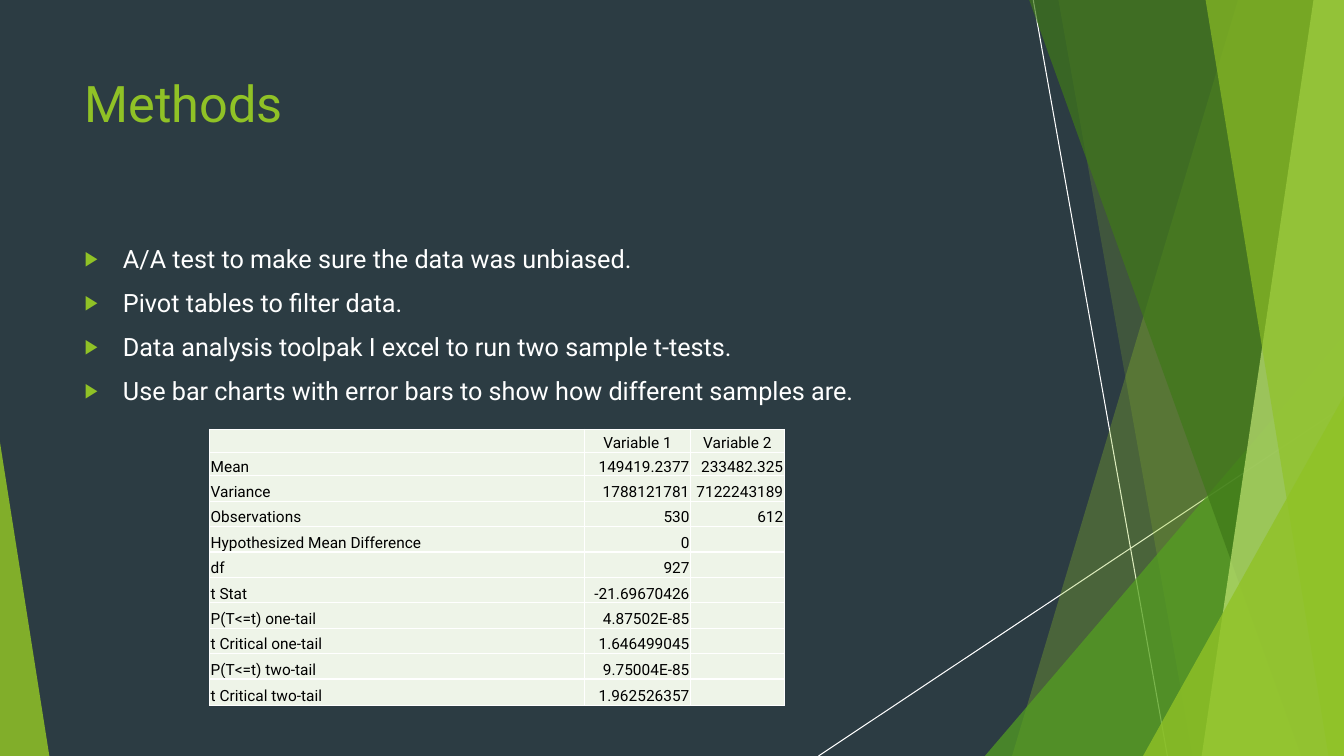
from lxml import etree
from pptx import Presentation
from pptx import util as u
from pptx.dml import color
from pptx.enum import shapes, text
from pptx.oxml import ns

COLORS = {
    "night": "2C3C43", "lime": "90C226", "leaf": "54A021", "forest": "3F7819",
    "pale": "C0E474", "white": "FFFFFF", "black": "000000", "cell": "EEF4E8",
}
ALIGN = text.PP_ALIGN

# Bands reach the right edge: left end at the top, left end at the bottom, colour, opacity
BACK_BANDS = [(92.12, 75.3, "lime", 30), (78.75, 88.74, "lime", 20)]
FRONT_BANDS = [
    (76.58, 96.83, "forest", 70),
    (97.73, 89.41, "pale", 70),
    (89.7, 98.85, "lime", 65),
]
METHODS = [
    "A/A test to make sure the data was unbiased.",
    "Pivot tables to filter data.",
    "Data analysis toolpak I excel to run two sample t-tests.",
    "Use bar charts with error bars to show how different samples are.",
]
T_TEST = [
    ("", "Variable 1", "Variable 2"),
    ("Mean", "149419.2377", "233482.325"),
    ("Variance", "1788121781", "7122243189"),
    ("Observations", "530", "612"),
    ("Hypothesized Mean Difference", "0", ""),
    ("df", "927", ""),
    ("t Stat", "-21.69670426", ""),
    ("P(T<=t) one-tail", "4.87502E-85", ""),
    ("t Critical one-tail", "1.646499045", ""),
    ("P(T<=t) two-tail", "9.75004E-85", ""),
    ("t Critical two-tail", "1.962526357", ""),
]


def rgb(name):
    return color.RGBColor.from_string(COLORS[name])


def add_xml(parent, tag, **attributes):
    return etree.SubElement(parent, ns.qn(tag), **attributes)


class FacetSlide:
    """Draws on one slide; every position is a percentage of its width or height."""

    font = "Roboto"

    def __init__(self, deck):
        self.width, self.height = deck.slide_width, deck.slide_height
        self.slide = deck.slides.add_slide(deck.slide_layouts[1])
        self.shapes = self.slide.shapes
        background = self.slide.background.fill
        background.solid()
        background.fore_color.rgb = rgb("night")

    def x(self, share):
        return round(self.width * share / 100)

    def y(self, share):
        return round(self.height * share / 100)

    def box(self, left, top, width, height):
        return self.x(left), self.y(top), self.x(width), self.y(height)

    def paint(self, shape, fill, opacity):
        shape.shadow.inherit = False
        shape.fill.solid()
        shape.fill.fore_color.rgb = rgb(fill)
        shape.line.fill.background()
        tint = shape.element.spPr.find(".//" + ns.qn("a:srgbClr"))
        add_xml(tint, "a:alpha", val=str(opacity * 1000))

    def ray(self, x1, y1, x2, y2):
        ray = self.shapes.add_connector(
            shapes.MSO_CONNECTOR.STRAIGHT, self.x(x1), self.y(y1), self.x(x2), self.y(y2))
        ray.line.color.rgb = rgb("white")
        ray.line.width = u.Pt(0.75)
        add_xml(ray.element.spPr, "a:effectLst")

    def band(self, top_x, bottom_x, fill, opacity):
        outline = self.shapes.build_freeform(self.x(top_x), 0)
        outline.add_line_segments(
            [(self.width, 0), (self.width, self.height), (self.x(bottom_x), self.height)])
        self.paint(outline.convert_to_shape(), fill, opacity)

    def corner(self, left, top, width, apex, fill, opacity):
        """Add a triangle standing on the slide's bottom edge."""
        triangle = self.shapes.add_shape(
            shapes.MSO_SHAPE.ISOSCELES_TRIANGLE, *self.box(left, top, width, 100 - top))
        triangle.adjustments[0] = apex
        self.paint(triangle, fill, opacity)

    def add_words(self, paragraph, words, size, ink, align=ALIGN.LEFT):
        paragraph.alignment = align
        run = paragraph.add_run()
        run.text = words
        run.font.name, run.font.size = self.font, u.Pt(size)
        run.font.color.rgb = rgb(ink)

    def place(self, holder, area):
        """Move a placeholder in front of the shapes drawn so far."""
        holder.left, holder.top, holder.width, holder.height = self.box(*area)
        holder.element.getparent().append(holder.element)
        frame = holder.text_frame
        frame.word_wrap = True
        frame.auto_size = text.MSO_AUTO_SIZE.NONE
        frame.vertical_anchor = text.MSO_ANCHOR.TOP
        return frame

    def title(self, words, area):
        frame = self.place(self.shapes.title, area)
        self.add_words(frame.paragraphs[0], words, 36, "lime")

    def bullets(self, items, area):
        frame = self.place(self.slide.placeholders[1], area)
        for index, item in enumerate(items):
            paragraph = frame.add_paragraph() if index else frame.paragraphs[0]
            paragraph.space_before = u.Pt(10)
            self.add_words(paragraph, item, 18, "white")
            props = paragraph._p.get_or_add_pPr()
            indent = u.Inches(0.38)
            props.set("marL", str(indent))
            props.set("indent", str(-indent))
            add_xml(add_xml(props, "a:buClr"), "a:srgbClr", val=COLORS["lime"])
            add_xml(props, "a:buSzPct", val="80000")
            add_xml(props, "a:buChar", char="▶")

    def cell(self, cell, words, align):
        cell.margin_left = cell.margin_right = cell.margin_top = u.Inches(0.01)
        cell.margin_bottom = 0
        cell.vertical_anchor = text.MSO_ANCHOR.BOTTOM
        paragraph = cell.text_frame.paragraphs[0]
        if words:
            self.add_words(paragraph, words, 11, "black", align)
        else:
            add_xml(paragraph._p, "a:endParaRPr", sz="1100")
        props = cell._tc.get_or_add_tcPr()
        for side in ("a:lnL", "a:lnR", "a:lnT", "a:lnB"):
            border = add_xml(props, side, w=str(u.Pt(1)))
            add_xml(add_xml(border, "a:solidFill"), "a:srgbClr", val=COLORS["white"])
        cell.fill.solid()
        cell.fill.fore_color.rgb = rgb("cell")

    def table(self, rows, left, top, widths, heights):
        area = self.box(left, top, sum(widths), sum(heights))
        table = self.shapes.add_table(len(rows), len(widths), *area).table
        for column, width in zip(table.columns, widths):
            column.width = self.x(width)
        for r, (row, height) in enumerate(zip(rows, heights)):
            table.rows[r].height = self.y(height)
            for c, words in enumerate(row):
                number_align = ALIGN.RIGHT if r else ALIGN.CENTER
                self.cell(table.cell(r, c), words, number_align if c else ALIGN.LEFT)


def main():
    deck = Presentation()
    deck.slide_width, deck.slide_height = u.Inches(13.33), u.Inches(7.5)
    slide = FacetSlide(deck)

    slide.ray(76.88, 0, 86.86, 100)
    slide.ray(100, 53.73, 60.9, 100)
    for band in BACK_BANDS:
        slide.band(*band)
    slide.corner(73.28, 44.4, 26.72, 1, "leaf", 72)
    for band in FRONT_BANDS:
        slide.band(*band)
    slide.corner(85.05, 52.4, 14.95, 1, "lime", 80)
    slide.corner(0, 58.53, 3.67, 0, "lime", 85)

    slide.title("Methods", (5.55, 8.93, 70.5, 19.2))
    slide.bullets(METHODS, (5.55, 31.47, 70.5, 56.53))
    slide.table(T_TEST, 15.6, 56.8, [27.9, 7.88, 6.98],
                [3.07] * 2 + [3.36] * 8 + [3.47])
    deck.save("out.pptx")


if __name__ == "__main__":
    main()
